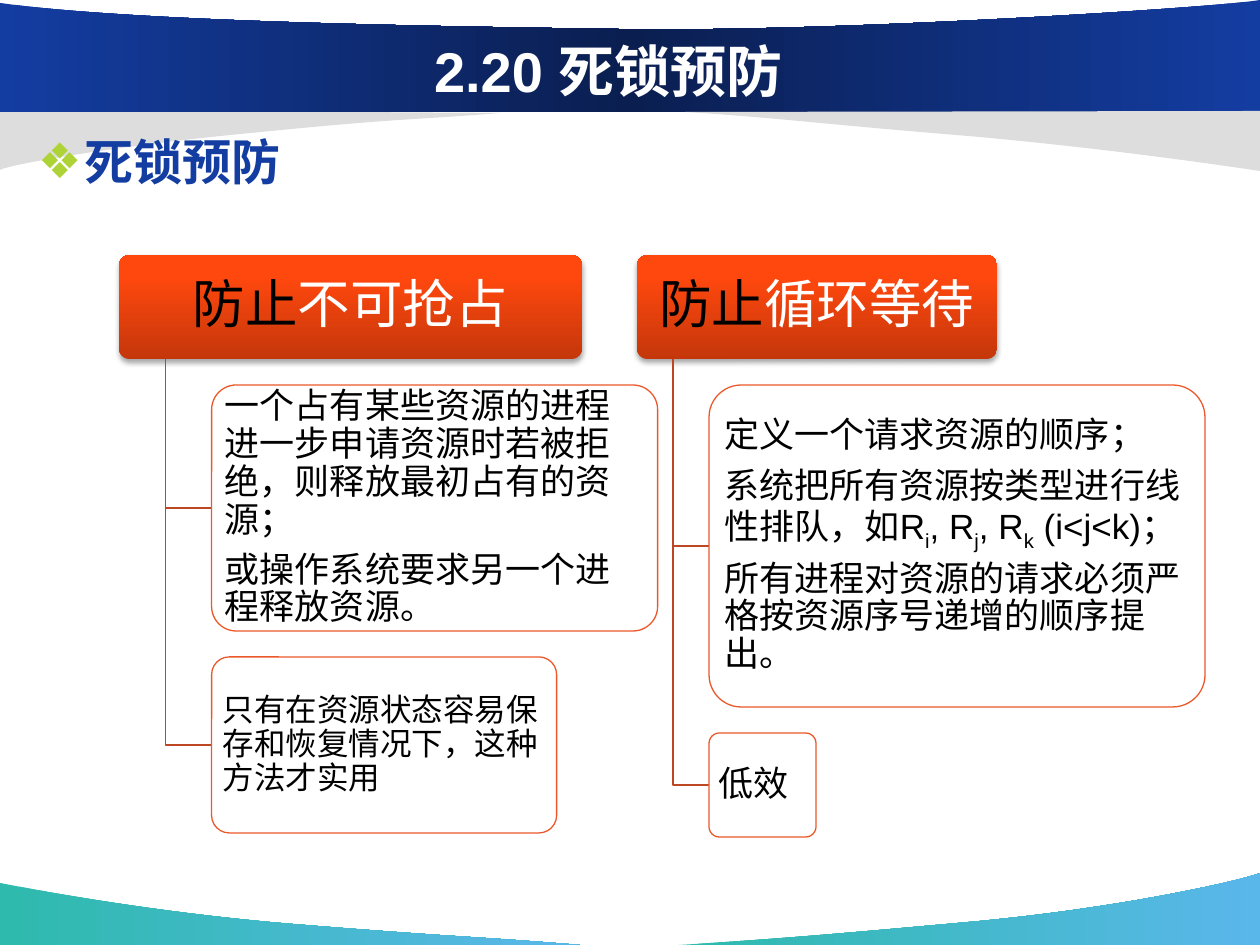
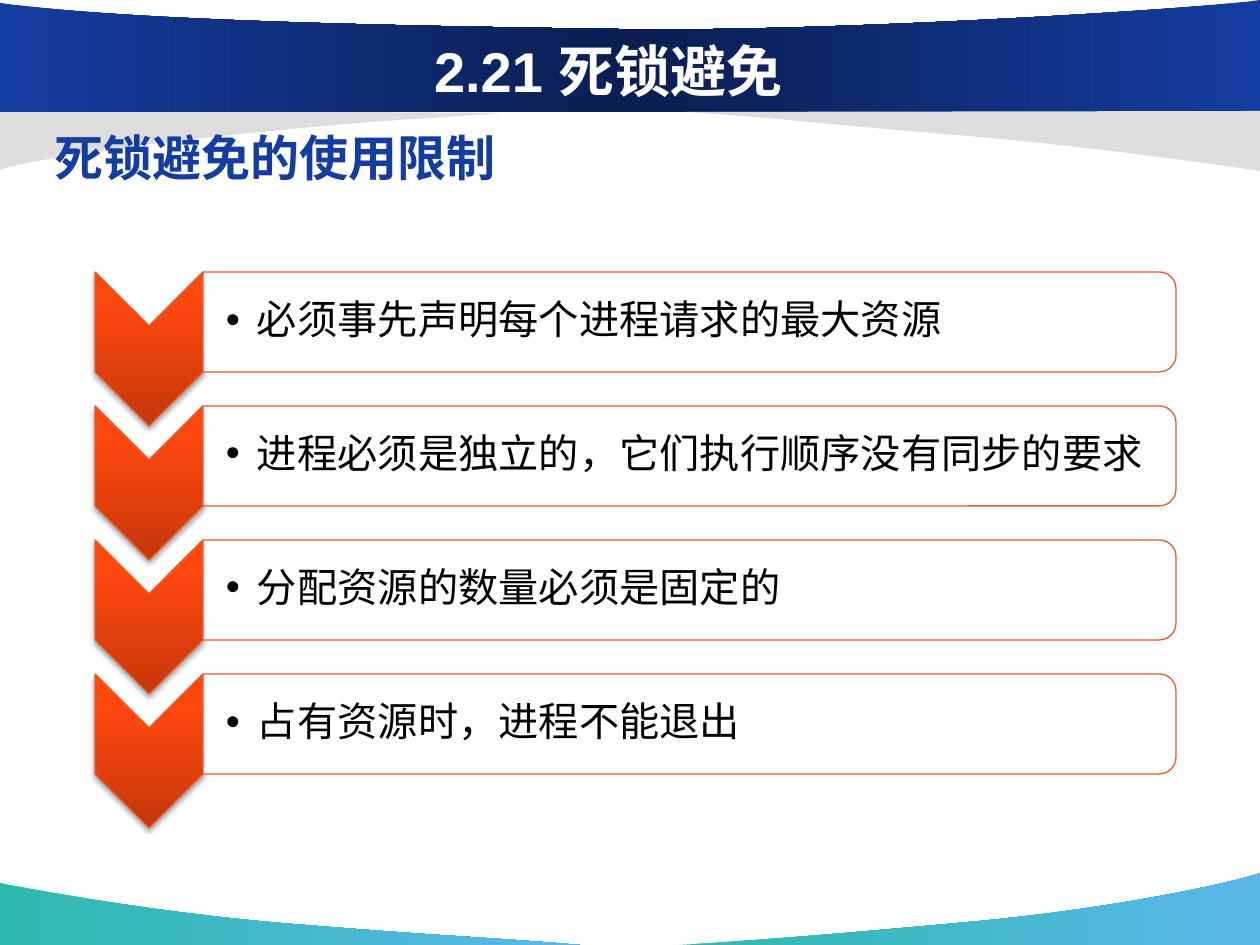
"""Builds two slides on deadlock prevention and deadlock avoidance."""
from lxml import etree
from pptx import Presentation
from pptx import util as u
from pptx.dml.color import RGBColor
from pptx.enum import shapes, text
from pptx.oxml import ns

PX = 914400 / 126
FONT = "Arial"
BLACK, WHITE, NAVY, GREY = "000000", "FFFFFF", "143DA2", "DDDDDD"
LIME, ORANGE, RUST = "AED337", "EB592B", "BC4722"
TEAL_FADE = ([(0, "2EBAAD"), (100, "5AB7EA")], 0)
NAVY_FADE = ([(0, NAVY), (50, "0A1E50"), (100, NAVY)], 0)
FIRE_FADE = ([(0, "C5370B"), (80, "FF480E"), (100, "FF4910")], 270)

BANDS = [
    (TEAL_FADE, [(580, 945), (484, 937, 451, 937, 292, 924),
                 (134, 911, 1, 883, 0, 883), (0, 945)]),
    (TEAL_FADE, [(679, 945), (774, 939, 814, 936, 969, 922),
                 (1124, 908, 1247, 879, 1260, 873), (1260, 945)]),
    (GREY, [(501, 113), (417, 120, 401, 118, 262, 132),
            (122, 145, 11, 164, 0, 170), (0, 110)]),
    (NAVY_FADE, [(0, 112), (1260, 112), (1260, 0),
                 (1215, 8, 823, 33, 614, 29), (404, 26, 127, 21, 0, 3)]),
    (GREY, [(685, 112), (781, 118, 809, 123, 968, 136),
            (1126, 150, 1259, 171, 1260, 171), (1260, 111)]),
]

PREVENTION = {
    "title": "2.20 死锁预防",
    "heading": "死锁预防",
    "branches": [
        {"left": 119, "width": 463, "goal": "不可抢占", "measures": [
            (446, 246, 20, ["一个占有某些资源的进程进一步申请资源时若被拒绝，则释放最初占有的资源；",
                            "或操作系统要求另一个进程释放资源。"]),
            (345, 176, 18, ["只有在资源状态容易保存和恢复情况下，这种方法才实用"]),
        ]},
        {"left": 637, "width": 360, "goal": "循环等待", "measures": [
            (496, 322, 20, ["定义一个请求资源的顺序；",
                            ["系统把所有资源按类型进行线性排队，如R", ("i", "sub"), ", R",
                             ("j", "sub"), ", R", ("k", "sub"), " (i<j<k)；"],
                            "所有进程对资源的请求必须严格按资源序号递增的顺序提出。"]),
            (107, 104, 20, ["低效"]),
        ]},
    ],
}
AVOIDANCE = {
    "title": "2.21 死锁避免",
    "heading": "死锁避免的使用限制",
    "limits": ["必须事先声明每个进程请求的最大资源",
               "进程必须是独立的，它们执行顺序没有同步的要求",
               "分配资源的数量必须是固定的",
               "占有资源时，进程不能退出"],
}


def px(*lengths):
    return [u.Emu(round(length * PX)) for length in lengths]


def rgb(colour):
    return RGBColor.from_string(colour)


def child(parent, tag, **attributes):
    element = etree.SubElement(parent, ns.qn(tag))
    for key, value in attributes.items():
        element.set(key, str(value))
    return element


def paint(shape, fill=None, line=None, opacity=100, shadow=False):
    properties = shape.fill._xPr
    if fill is None:
        shape.fill.background()
    elif isinstance(fill, str):
        shape.fill.solid()
        shape.fill.fore_color.rgb = rgb(fill)
        if opacity < 100:
            child(properties.find(".//" + ns.qn("a:srgbClr")), "a:alpha", val=opacity * 1000)
    else:
        stops, angle = fill
        shape.fill.gradient()
        gradient = properties.find(ns.qn("a:gradFill"))
        gradient.set("rotWithShape", "0")
        stop_list = gradient.find(ns.qn("a:gsLst"))
        for stop in list(stop_list):
            stop_list.remove(stop)
        for position, colour in stops:
            child(child(stop_list, "a:gs", pos=position * 1000), "a:srgbClr", val=colour)
        gradient.find(ns.qn("a:lin")).set("ang", str(angle * 60000))
    if line:
        shape.line.color.rgb = rgb(line)
        shape.line.width = u.Pt(0.75)
    else:
        shape.line.fill.background()
    shape.shadow.inherit = False
    if shadow:
        drop = child(properties.find(ns.qn("a:effectLst")), "a:outerShdw", blurRad=u.Pt(3.1),
                     dist=u.Pt(1.8), dir=90 * 60000, rotWithShape=0)
        child(child(drop, "a:srgbClr", val=BLACK), "a:alpha", val=35000)


def bullet(paragraph, mark, colour, indent):
    properties = paragraph._p.get_or_add_pPr()
    width, = px(indent)
    properties.set("marL", str(width))
    properties.set("indent", str(-width))
    child(child(properties, "a:buClr"), "a:srgbClr", val=colour)
    child(properties, "a:buFont", typeface=FONT)
    child(properties, "a:buChar", char=mark)


def write(shape, paragraphs, size, colour=BLACK, bold=False, align=text.PP_ALIGN.LEFT,
          anchor=text.MSO_ANCHOR.MIDDLE, insets=(13, 6, 13, 6), spacing=0.9, after=0, mark=None):
    frame = shape.text_frame
    frame.word_wrap = True
    frame.vertical_anchor = anchor
    frame.margin_left, frame.margin_top, frame.margin_right, frame.margin_bottom = px(*insets)
    for index, runs in enumerate(paragraphs):
        paragraph = frame.add_paragraph() if index else frame.paragraphs[0]
        paragraph.alignment = align
        paragraph.line_spacing = spacing
        paragraph.space_after = u.Pt(after)
        paragraph._p.get_or_add_pPr().set("hangingPunct", "0")
        if mark:
            bullet(paragraph, *mark)
        font = paragraph.font
        font.name, font.size, font.bold = FONT, u.Pt(size), bold
        font.color.rgb = rgb(colour)
        for part in [runs] if isinstance(runs, str) else runs:
            words, style = (part, None) if isinstance(part, str) else part
            run = paragraph.add_run()
            run.text = words
            if style == "sub":
                run._r.get_or_add_rPr().set("baseline", "-25000")
            elif style:
                run.font.color.rgb = rgb(style)


def outline(slide, segments, closed=True):
    ends = [px(*segment[-2:]) for segment in segments]
    builder = slide.shapes.build_freeform(*ends[0])
    builder.add_line_segments(ends[1:], close=closed)
    shape = builder.convert_to_shape()
    lines = list(shape._element.iter(ns.qn("a:lnTo")))
    for line, segment in zip(lines, segments[1:]):
        if len(segment) == 6:
            line.tag = ns.qn("a:cubicBezTo")
            controls = px(*segment[:4])
            for place in (0, 1):
                x, y = controls[2 * place:2 * place + 2]
                point = child(line, "a:pt", x=x - shape.left, y=y - shape.top)
                line.insert(place, point)
    return shape


def base_slide(deck, content, heading_at, mark=None):
    slide = deck.slides.add_slide(deck.slide_layouts[6])
    for fill, segments in BANDS:
        paint(outline(slide, segments), fill)
    title = slide.shapes.add_textbox(*px(115, 31, 987, 78))
    write(title, [content["title"]], 32, WHITE, True, text.PP_ALIGN.CENTER, spacing=1)
    heading = slide.shapes.add_textbox(*px(*heading_at))
    write(heading, [content["heading"]], 28, NAVY, True, anchor=text.MSO_ANCHOR.TOP,
          spacing=1.2, mark=mark)
    return slide


def rounded(slide, *box):
    shape = slide.shapes.add_shape(shapes.MSO_SHAPE.ROUNDED_RECTANGLE, *px(*box))
    shape.adjustments[0] = 0.1
    return shape


def turned(slide, kind, left, top, width, height):
    shift = (width - height) / 2
    shape = slide.shapes.add_shape(kind, *px(left + shift, top - shift, height, width))
    shape.rotation = 90
    return shape


def prevention_slide(deck):
    slide = base_slide(deck, PREVENTION, (25, 114, 1134, 116), ("❖", LIME, 47))
    header_top, header_height, gap = 255, 104, 26
    for branch in PREVENTION["branches"]:
        left, width = branch["left"], branch["width"]
        spine, measure_left = left + width / 10, left + width / 5
        bottom = header_top + header_height
        header = rounded(slide, left, header_top, width, header_height)
        paint(header, FIRE_FADE, shadow=True)
        write(header, [[("防止", BLACK), (branch["goal"], WHITE)]], 30,
              align=text.PP_ALIGN.CENTER, insets=(8, 5, 8, 5), after=10.5)
        top = bottom + gap
        for measure_width, height, size, paragraphs in branch["measures"]:
            middle = top + height / 2
            elbow = outline(slide, [(spine, bottom), (spine, middle), (measure_left, middle)],
                            closed=False)
            paint(elbow, line=RUST)
            measure = rounded(slide, measure_left, top, measure_width, height)
            paint(measure, WHITE, ORANGE, opacity=90)
            write(measure, paragraphs, size, insets=(6, 4, 6, 4), after=size * 0.35)
            top += height + gap


def avoidance_slide(deck):
    slide = base_slide(deck, AVOIDANCE, (42, 110, 1134, 90))
    first_top, pitch = 272, 134
    for index, limit in enumerate(AVOIDANCE["limits"]):
        top = first_top + index * pitch
        chevron = turned(slide, shapes.MSO_SHAPE.CHEVRON, 95, top, 108, 154)
        paint(chevron, FIRE_FADE, ORANGE, shadow=True)
        bar = turned(slide, shapes.MSO_SHAPE.ROUND_2_SAME_RECTANGLE, 203, top, 973, 100)
        paint(bar, WHITE, ORANGE, opacity=90)
        label = slide.shapes.add_textbox(*px(203, top + 4, 969, 91))
        write(label, [limit], 23, insets=(23, 2, 2, 2), after=3.45, mark=("•", BLACK, 31))


def main():
    deck = Presentation()
    deck.slide_width, deck.slide_height = px(1260, 945)
    prevention_slide(deck)
    avoidance_slide(deck)
    deck.save("out.pptx")


if __name__ == "__main__":
    main()
